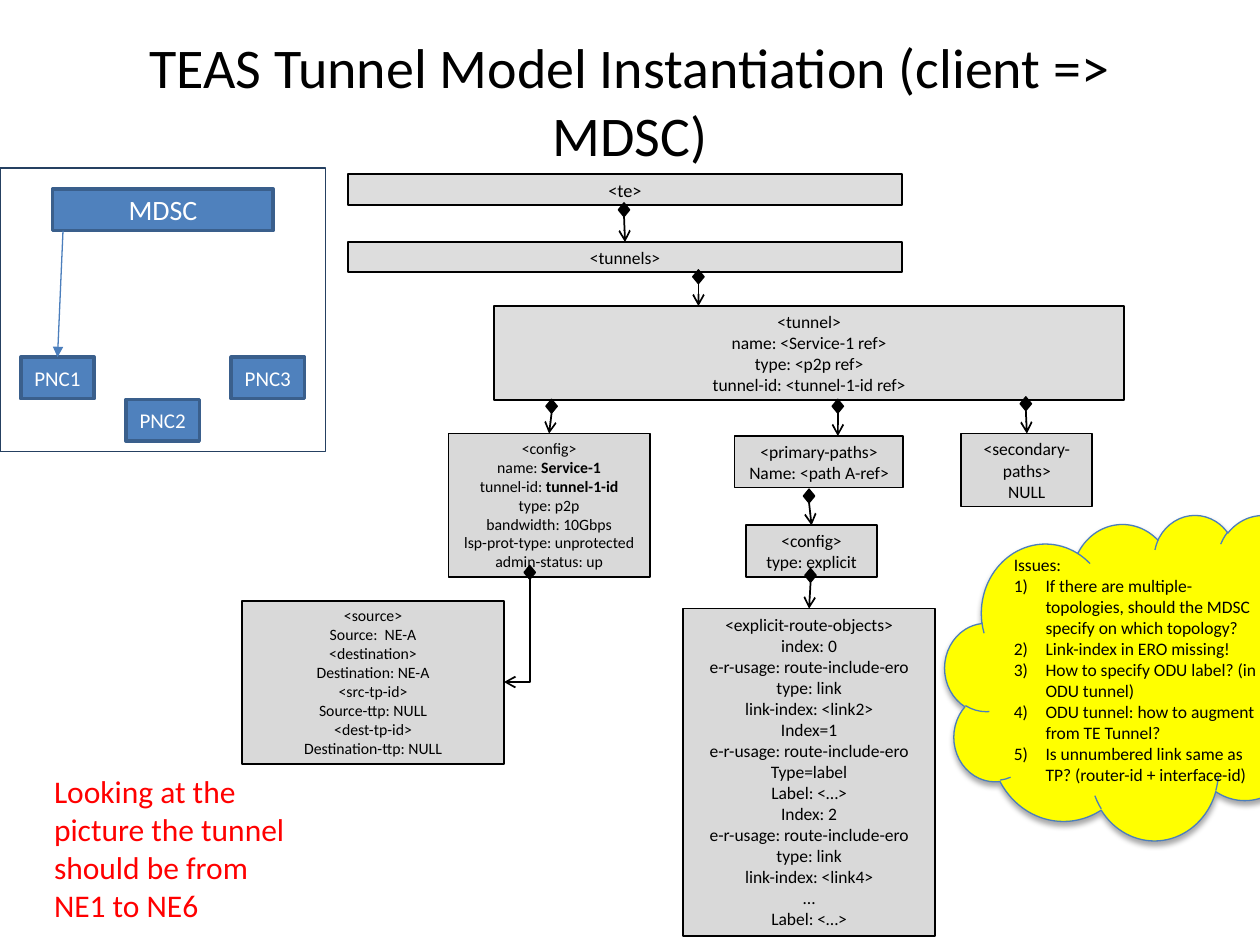
from lxml import etree
from pptx import Presentation
from pptx.dml.color import RGBColor
from pptx.enum.shapes import MSO_CONNECTOR, MSO_SHAPE
from pptx.enum.text import MSO_ANCHOR, MSO_AUTO_SIZE, PP_ALIGN
from pptx.oxml.ns import qn
from pptx.util import Cm, Pt

RECT, DIAMOND, CLOUD = MSO_SHAPE.RECTANGLE, MSO_SHAPE.DIAMOND, MSO_SHAPE.CLOUD
STRAIGHT, ELBOW = MSO_CONNECTOR.STRAIGHT, MSO_CONNECTOR.ELBOW
LEFT, CENTER = PP_ALIGN.LEFT, PP_ALIGN.CENTER
TOP, MIDDLE = MSO_ANCHOR.TOP, MSO_ANCHOR.MIDDLE
GROW = MSO_AUTO_SIZE.SHAPE_TO_FIT_TEXT

BLACK = RGBColor(0x00, 0x00, 0x00)
WHITE = RGBColor(0xFF, 0xFF, 0xFF)
RED = RGBColor(0xFF, 0x00, 0x00)
YELLOW = RGBColor(0xFF, 0xFF, 0x00)
LIGHT_GRAY = RGBColor(0xDD, 0xDD, 0xDD)
GRAY = RGBColor(0xD9, 0xD9, 0xD9)
BLUE = RGBColor(0x4F, 0x81, 0xBD)
BLUE_LINE = RGBColor(0x4B, 0x7E, 0xBC)
BLUE_EDGE = RGBColor(0x3A, 0x5F, 0x8C)
NAVY = RGBColor(0x25, 0x40, 0x61)

# name: (box in cm, fill, text size, lines); ** switches bold on and off
NODES = {
    "te": ((7.01, 3.51, 11.18, 0.63), LIGHT_GRAY, 10.5, ["<te>"]),
    "tunnels": ((7.01, 4.88, 11.18, 0.61), LIGHT_GRAY, 10, ["<tunnels>"]),
    "tunnel": ((9.96, 6.17, 12.7, 1.9), LIGHT_GRAY, 10, [
        "<tunnel>", "name: <Service-1 ref>", "type: <p2p ref>",
        "tunnel-id: <tunnel-1-id ref>"]),
    "config": ((9.04, 8.74, 4.06, 2.9), GRAY, 9, [
        "<config>", "name: **Service-1**", "tunnel-id: **tunnel-1-id**",
        "type: p2p", "bandwidth: 10Gbps", "lsp-prot-type: unprotected",
        "admin-status: up"]),
    "endpoints": ((4.88, 12.12, 5.28, 3.28), GRAY, 9, [
        "<source>", "Source:  NE-A", "<destination>", "Destination: NE-A",
        "<src-tp-id>", "Source-ttp: NULL", "<dest-tp-id>",
        "Destination-ttp: NULL"]),
    "primary": ((14.81, 8.79, 3.4, 1.04), GRAY, 10, [
        "<primary-paths>", "Name: <path A-ref>"]),
    "path config": ((15.04, 10.59, 2.64, 1.04), GRAY, 10, [
        "<config>", "type: explicit"]),
    "route": ((13.77, 12.27, 5.08, 6.6), GRAY, 10, [
        "<explicit-route-objects>", "index: 0",
        "e-r-usage: route-include-ero", "type: link", "link-index: <link2>",
        "Index=1", "e-r-usage: route-include-ero", "Type=label",
        "Label: <…>", "Index: 2", "e-r-usage: route-include-ero",
        "type: link", "link-index: <link4>", "…", "Label: <…>"]),
    "secondary": ((19.38, 8.74, 2.64, 1.47), GRAY, 10, [
        "<secondary-paths>", "NULL"]),
}

# target node, diamond centre x, diamond top, arrow meets the middle of the top
LINKS = [
    ("tunnels", 12.58, 4.09, True),
    ("tunnel", 14.08, 5.44, False),
    ("config", 11.12, 8.05, True),
    ("primary", 16.89, 8.05, False),
    ("path config", 16.31, 9.86, True),
    ("route", 16.34, 11.46, True),
    ("secondary", 20.68, 8.0, True),
]

ISSUES = [
    "If there are multiple-topologies, should the MDSC specify on which topology?",
    "Link-index in ERO missing!",
    "How to specify ODU label? (in ODU tunnel)",
    "ODU tunnel: how to augment from TE Tunnel?",
    "Is unnumbered link same as TP? (router-id + interface-id)",
]


def put_text(sp, lines, size, color=BLACK, align=CENTER, anchor=TOP,
             insets=(0.25, 0.13), grow=False):
    tf = sp.text_frame
    tf.word_wrap = True
    tf.vertical_anchor = anchor
    tf.margin_left = tf.margin_right = Cm(insets[0])
    tf.margin_top = tf.margin_bottom = Cm(insets[1])
    if grow:
        tf.auto_size = GROW
    for i, line in enumerate(lines):
        p = tf.paragraphs[0] if i == 0 else tf.add_paragraph()
        p.alignment = align
        for j, part in enumerate(line.split("**")):
            if part:
                r = p.add_run()
                r.text = part
                r.font.name, r.font.size = "Calibri", Pt(size)
                r.font.color.rgb = color
                r.font.bold = j % 2 == 1


def add_text(s, box, lines, size, **fmt):
    sp = s.shapes.add_textbox(*map(Cm, box))
    put_text(sp, lines, size, **fmt)


def add_shape(s, kind, box, fill, line, width):
    sp = s.shapes.add_shape(kind, *map(Cm, box))
    sp.shadow.inherit = False
    if fill is None:
        sp.fill.background()
    else:
        sp.fill.solid()
        sp.fill.fore_color.rgb = fill
    sp.line.color.rgb = line
    sp.line.width = Pt(width)
    return sp


def add_arrow(s, kind, start, end, color=BLACK, width=1, head="arrow"):
    c = s.shapes.add_connector(kind, *map(Cm, start + end))
    c.line.color.rgb = color
    c.line.width = Pt(width)
    etree.SubElement(c.line._ln, qn("a:tailEnd"), type=head)
    etree.SubElement(c._element.spPr, qn("a:effectLst"))
    return c


def add_diamond(s, x, y):
    return add_shape(s, DIAMOND, (x - 0.115, y, 0.23, 0.28), BLACK, BLACK, 0.75)


def add_elbow(s, x, y, end_x, end_y):
    """Run down from (x, y), then left to (end_x, end_y)."""
    w, h = end_y - y, x - end_x
    mid_x, mid_y = (x + end_x) / 2, (y + end_y) / 2
    c = add_arrow(s, ELBOW, (mid_x - w / 2, mid_y - h / 2),
                  (mid_x + w / 2, mid_y + h / 2))
    c._element.spPr.find(qn("a:prstGeom")).set("prst", "bentConnector2")
    c._element.spPr.find(qn("a:xfrm")).set("rot", "5400000")


def add_model_tree(s):
    nodes = {}
    for name, (box, fill, size, lines) in NODES.items():
        nodes[name] = add_shape(s, RECT, box, fill, BLACK, 1)
        put_text(nodes[name], lines, size, insets=(0.18, 0.1), grow=True)
    for name, x, y, joined in LINKS:
        d = add_diamond(s, x, y)
        c = add_arrow(s, STRAIGHT, (x, y + 0.28), (x, NODES[name][0][1]))
        c.begin_connect(d, 2)
        if joined:
            c.end_connect(nodes[name], 0)
    add_diamond(s, 10.68, 11.4)
    add_elbow(s, 10.68, 11.68, 10.16, 13.75)


def add_controllers(s, x, y, w, h):
    def controller(name, dx, dy, width, size):
        sp = add_shape(s, RECT, (x + dx, y + dy, width, 0.84), BLUE, BLUE_EDGE, 2)
        put_text(sp, [name], size, color=WHITE, anchor=MIDDLE)
        return sp

    controller("MDSC", 1.06, 0.42, 4.45, 16)
    pncs = [controller(f"PNC{i + 1}", 0.42 + 2.12 * i, dy, 1.48, 12)
            for i, dy in enumerate((3.81, 4.66, 3.81))]
    c = add_arrow(s, STRAIGHT, (x + 1.27, y + 1.26), (x + 1.16, y + 3.81),
                  color=BLUE_LINE, width=0.75, head="triangle")
    c.end_connect(pncs[0], 0)
    add_shape(s, RECT, (x, y, w, h), None, NAVY, 0.75)


def add_issues(s, box):
    sp = add_shape(s, CLOUD, box, YELLOW, BLUE_LINE, 0.75)
    effects = sp._element.spPr.find(qn("a:effectLst"))
    shadow = etree.SubElement(effects, qn("a:outerShdw"), blurRad=str(Pt(3.1)),
                              dist=str(Pt(1.8)), dir="5400000", rotWithShape="0")
    tint = etree.SubElement(shadow, qn("a:srgbClr"), val=str(BLACK))
    etree.SubElement(tint, qn("a:alpha"), val="35000")
    put_text(sp, ["Issues:"] + ISSUES, 10, align=LEFT, anchor=MIDDLE)
    indent = Cm(0.64)
    for p in sp.text_frame.paragraphs[1:]:
        pPr = p._p.get_or_add_pPr()
        pPr.set("marL", str(indent))
        pPr.set("indent", str(-indent))
        etree.SubElement(pPr, qn("a:buAutoNum"), type="arabicParenR")


def main():
    prs = Presentation()
    prs.slide_width, prs.slide_height = Cm(25.4), Cm(19.05)
    s = prs.slides.add_slide(prs.slide_layouts[6])
    add_text(s, (1.27, 0.43, 22.86, 3.18),
             ["TEAS Tunnel Model Instantiation (client => MDSC)"], 32, anchor=MIDDLE)
    add_model_tree(s)
    add_controllers(s, 0, 3.39, 6.56, 5.71)
    add_issues(s, (19.05, 10.37, 8.26, 6.56))
    add_text(s, (0.84, 15.44, 5.28, 3.33),
             ["Looking at the picture the tunnel should be from NE1 to NE6"], 18,
             color=RED, align=LEFT, grow=True)
    prs.save("out.pptx")


if __name__ == "__main__":
    main()
